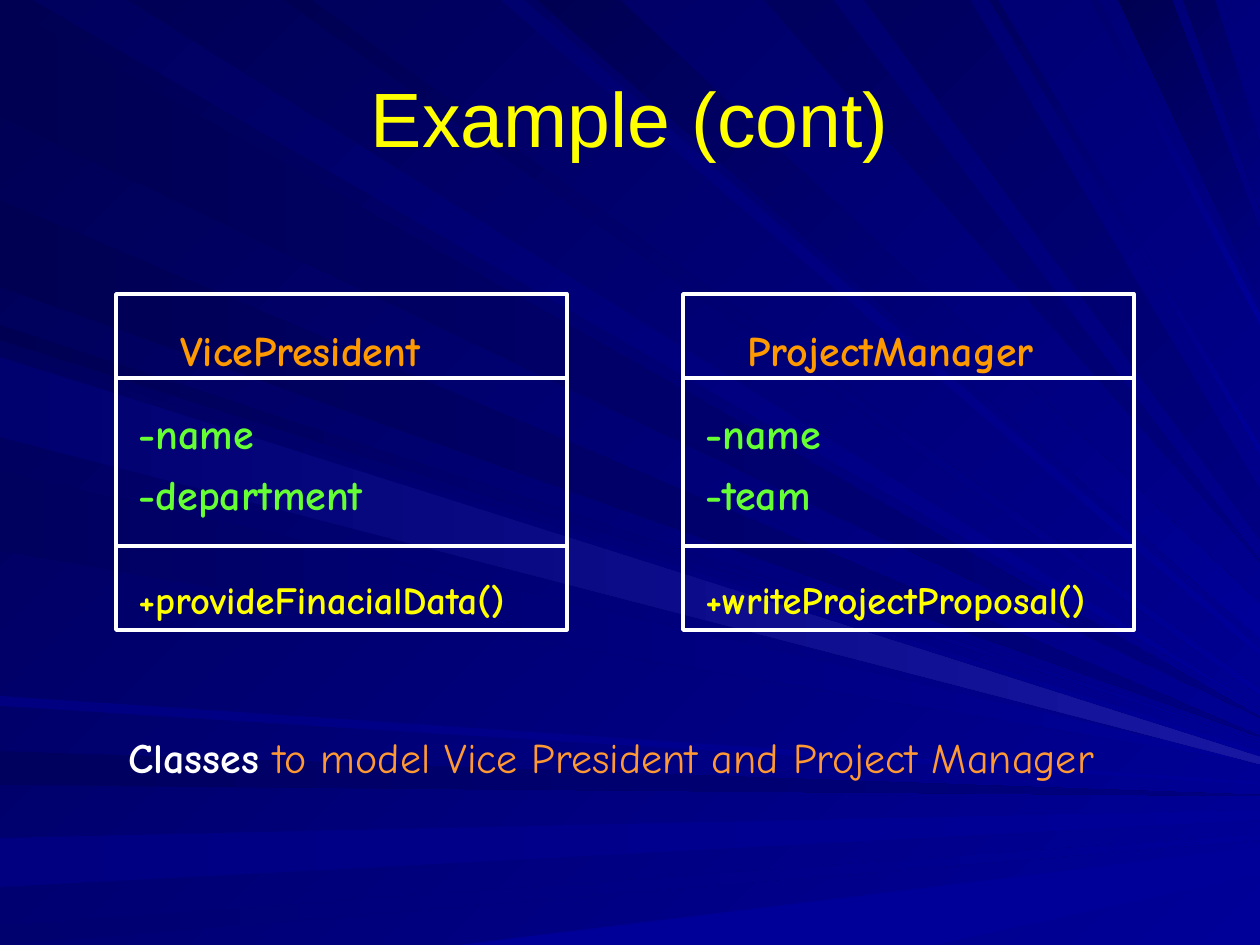
import pptx
import pptx.dml.color
import pptx.enum.shapes
import pptx.enum.text
import pptx.oxml.ns
import pptx.util
from lxml import etree

RGBColor = pptx.dml.color.RGBColor
PX = 914400 / 126
WIDTH, HEIGHT = 1260, 945

DARK = RGBColor(0x00, 0x00, 0x53)
DEEP = RGBColor(0x00, 0x00, 0x5F)
MID = RGBColor(0x00, 0x00, 0x6F)
NAVY = RGBColor(0x00, 0x00, 0x80)
BLUE = RGBColor(0x00, 0x00, 0x99)
GLOW = RGBColor(0x17, 0x17, 0xA2)
WHITE = RGBColor(0xFF, 0xFF, 0xFF)
YELLOW = RGBColor(0xFF, 0xFF, 0x00)
GREEN = RGBColor(0x66, 0xFF, 0x33)
ORANGE = RGBColor(0xFF, 0x99, 0x00)
PALE_ORANGE = RGBColor(0xFF, 0x99, 0x33)

# Rays run from a stretch of one edge to a stretch of the right edge:
# edge, start, stop, right start, right stop, first colour, last colour
RAYS = [
    ("left", 3, 117, 717, 718, DARK, NAVY),
    ("top", 127, 33, 708, 709, DEEP, BLUE),
    ("left", 751, 785, 795, 796, DEEP, NAVY),
    ("left", 838, 887, 810, 820, NAVY, BLUE),
    ("left", 926, 945, 834, 840, MID, BLUE),
    ("bottom", 459, 935, 847, 874, BLUE, BLUE),
    ("left", 325, 340, 741, 742, DARK, BLUE),
    ("left", 200, 287, 736, 737, DARK, NAVY),
    ("top", 524, 501, 649, 656, MID, BLUE),
    ("top", 620, 537, 604, 639, DARK, BLUE),
    ("top", 833, 764, 561, 562, DEEP, NAVY),
    ("top", 1172, 1118, 231, 299, DARK, NAVY),
    ("top", 1215, 1183, 144, 210, DEEP, NAVY),
    ("left", 350, 431, 751, 759, DEEP, BLUE),
    ("left", 471, 551, 762, 764, DEEP, BLUE),
    ("left", 696, 706, 782, 785, NAVY, BLUE),
    ("top", 311, 284, 689, 696, DARK, BLUE),
    ("top", 970, 864, 491, 539, DEEP, NAVY),
    ("top", 998, 989, 446, 454, DEEP, BLUE),
    ("top", 1099, 1090, 314, 325, MID, BLUE),
    ("left", 357, 437, 757, 764, MID, GLOW),
]

CLASSES = [
    ("VicePresident", ["-name", "-department"], "+provideFinacialData()"),
    ("ProjectManager", ["-name", "-team"], "+writeProjectProposal()"),
]


def paint(fill, first, last, angle):
    """Fill with a clockwise-angled gradient, or plainly if both colours agree."""
    if first == last:
        fill.solid()
        fill.fore_color.rgb = first
        return
    fill.gradient()
    fill.gradient_angle = -angle % 360
    for stop, color in zip(fill.gradient_stops, (first, last)):
        stop.color.rgb = color


def add_text(page, left, top, width, height, lines, size, color):
    box = page.shapes.add_textbox(*(round(n * PX) for n in (left, top, width, height)))
    frame = box.text_frame
    frame.word_wrap = True
    frame.text = "\n".join(lines)
    for para in frame.paragraphs:
        para.font.name = "Comic Neue"
        para.font.size = pptx.util.Pt(size)
        para.font.bold = True
        para.font.color.rgb = color
    for para in frame.paragraphs[1:]:
        para.space_before = pptx.util.Pt(6)
    return frame


deck = pptx.Presentation()
deck.slide_width = round(WIDTH * PX)
deck.slide_height = round(HEIGHT * PX)
page = deck.slides.add_slide(deck.slide_layouts[5])
paint(page.background.fill, DARK, BLUE, 45)

for edge, start, stop, right_start, right_stop, first, last in RAYS:
    if edge == "left":
        near, far = (0, start), (0, stop)
    else:
        y = 0 if edge == "top" else HEIGHT
        near, far = (start, y), (stop, y)
    builder = page.shapes.build_freeform(*near, scale=PX)
    builder.add_line_segments([(WIDTH, right_start), (WIDTH, right_stop), far], close=True)
    ray = builder.convert_to_shape()
    ray.shadow.inherit = False
    ray.line.fill.background()
    paint(ray.fill, first, last, 45 if edge == "top" else 0)

for column, (name, attributes, method) in enumerate(CLASSES):
    left = 116 + column * 567
    frame_box = page.shapes.add_shape(
        pptx.enum.shapes.MSO_SHAPE.RECTANGLE,
        *(round(n * PX) for n in (left, 294, 451, 336)))
    frame_box.shadow.inherit = False
    frame_box.fill.background()
    outlines = [frame_box]
    for y in (378, 546):
        divider = page.shapes.add_connector(
            pptx.enum.shapes.MSO_CONNECTOR.STRAIGHT,
            *(round(n * PX) for n in (left, y, left + 451, y)))
        etree.SubElement(divider._element.spPr, pptx.oxml.ns.qn("a:effectLst"))
        outlines.append(divider)
    for outline in outlines:
        outline.line.color.rgb = WHITE
        outline.line.width = pptx.util.Pt(2)
    add_text(page, left + 52, 318, 378, 63, [name], 24, ORANGE)
    add_text(page, left + 10, 401, 378, 125, attributes, 24, GREEN)
    add_text(page, left + 10, 570, 451, 59, [method], 22, YELLOW)

caption = add_text(page, 116, 725, 1092, 63, ["Classes "], 24, WHITE)
span = caption.paragraphs[0].add_run()
span.text = "to model Vice President and Project Manager"
span.font.bold = False
span.font.color.rgb = PALE_ORANGE

title = page.shapes.title
title.left, title.top, title.width, title.height = (
    round(n * PX) for n in (63, 38, 1134, 158))
title.text_frame.text = "Example (cont)"
title.text_frame.vertical_anchor = pptx.enum.text.MSO_ANCHOR.MIDDLE
heading = title.text_frame.paragraphs[0]
heading.alignment = pptx.enum.text.PP_ALIGN.CENTER
heading.font.name = "Arial"
heading.font.size = pptx.util.Pt(44)
heading.font.color.rgb = YELLOW
# The title stands in front of the rays
page.shapes._spTree.append(title._element)

deck.save("out.pptx")
